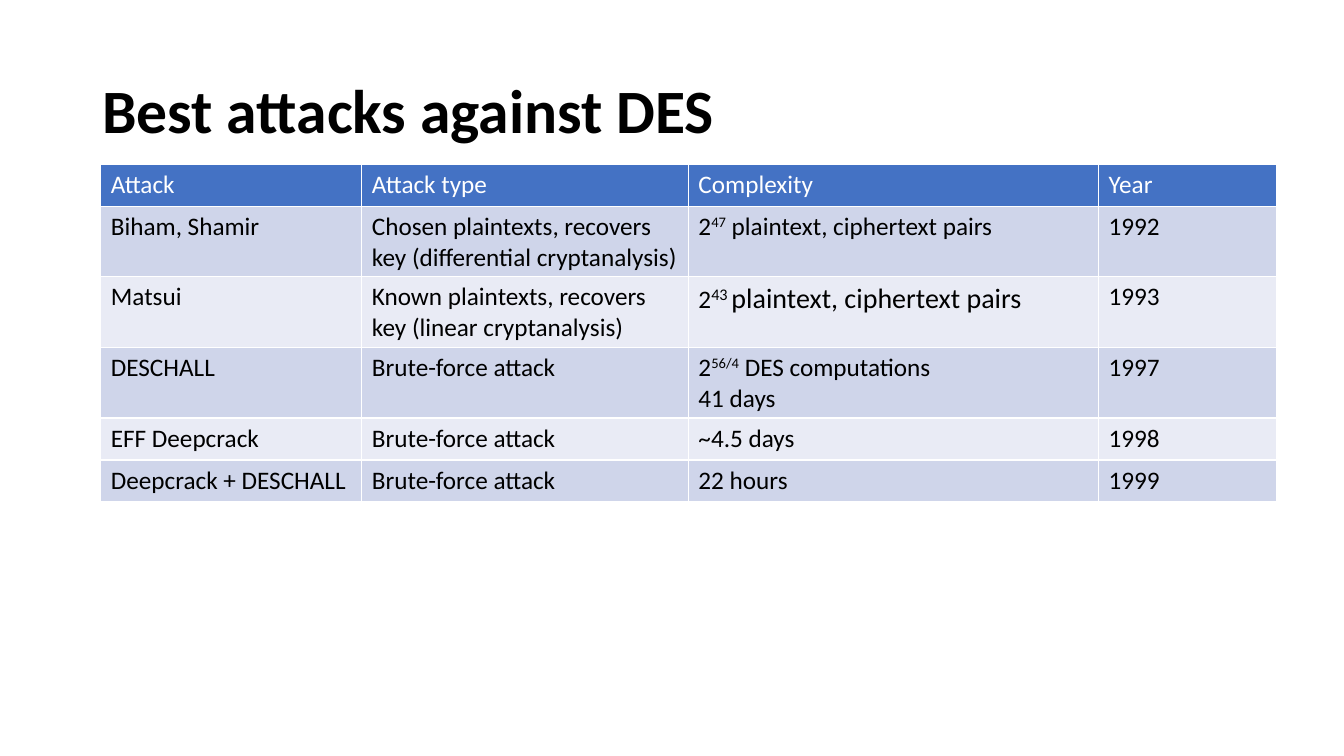
from dataclasses import dataclass

from pptx import Presentation
from pptx import util as u
from pptx.dml.color import RGBColor
from pptx.enum import text


@dataclass(frozen=True)
class Theme:
    font: str = "Calibri"
    ink: str = "000000"
    header_ink: str = "FFFFFF"
    header_fill: str = "4472C4"
    bands: tuple = ("CFD5EA", "E9EBF5")
    title_size: int = 44
    body_size: int = 18
    large_size: int = 20
    superscript: str = "30000"


class Deck:
    """Holds the theme and the current slide; lengths are grid columns and rows."""

    COLUMNS, ROWS = 40, 18

    def __init__(self, theme):
        self.theme = theme
        self.presentation = Presentation()
        self.presentation.slide_width = u.Inches(13.33)
        self.presentation.slide_height = u.Inches(7.5)
        self.slide = self.presentation.slides.add_slide(self.presentation.slide_layouts[6])

    def across(self, columns):
        return round(self.presentation.slide_width * columns / self.COLUMNS)

    def down(self, rows):
        return round(self.presentation.slide_height * rows / self.ROWS)

    def area(self, left, top, width, height):
        return self.across(left), self.down(top), self.across(width), self.down(height)

    def add_words(self, paragraph, words, size, ink, bold=False, raised=False):
        run = paragraph.add_run()
        run.text = words
        formats = {"name": self.theme.font, "size": u.Pt(size), "bold": bold}
        for name, value in formats.items():
            setattr(run.font, name, value)
        run.font.color.rgb = RGBColor.from_string(ink)
        if raised:
            run.font._element.set("baseline", self.theme.superscript)

    def title(self, words, *area):
        frame = self.slide.shapes.add_textbox(*self.area(*area)).text_frame
        formats = {"word_wrap": True, "vertical_anchor": text.MSO_ANCHOR.MIDDLE}
        for name, value in formats.items():
            setattr(frame, name, value)
        heading = frame.paragraphs[0]
        heading.line_spacing = 0.9
        self.add_words(heading, words, self.theme.title_size, self.theme.ink, bold=True)

    def fill_cell(self, cell, content, fill, ink):
        """Content is a string, or a list of lines made of (words, format) runs."""
        cell.fill.solid()
        cell.fill.fore_color.rgb = RGBColor.from_string(fill)
        lines = [[(content, {})]] if isinstance(content, str) else content
        for index, line in enumerate(lines):
            frame = cell.text_frame
            paragraph = frame.add_paragraph() if index else frame.paragraphs[0]
            for words, formats in line:
                self.add_words(paragraph, words,
                               **{"size": self.theme.body_size, "ink": ink, **formats})

    def table(self, rows, widths, left, top):
        area = self.area(left, top, sum(widths), len(rows))
        table = self.slide.shapes.add_table(len(rows), len(widths), *area).table
        for column, width in zip(table.columns, widths):
            column.width = self.across(width)
        for index, row in enumerate(rows):
            if index == 0:
                fill, ink = self.theme.header_fill, self.theme.header_ink
            else:
                fill, ink = self.theme.bands[(index - 1) % 2], self.theme.ink
            for cell, content in zip(table.rows[index].cells, row):
                self.fill_cell(cell, content, fill, ink)


def main():
    theme = Theme()
    deck = Deck(theme)
    raised = {"raised": True}
    large = {"size": theme.large_size}

    # Heading
    deck.title("Best attacks against DES", 2.75, 0.96, 34.5, 3.48)

    # Attacks in order of year
    differential = [[("2", {}), ("47", raised), (" plaintext, ciphertext pairs", {})]]
    linear = [[("2", {}), ("43 ", {**large, **raised}), ("plaintext, ciphertext pairs", large)]]
    distributed = [[("2", {}), ("56/4", raised), (" DES computations", {})], [("41 days", {})]]
    attacks = [
        ("Attack", "Attack type", "Complexity", "Year"),
        ("Biham, Shamir", "Chosen plaintexts, recovers key (differential cryptanalysis)",
         differential, "1992"),
        ("Matsui", "Known plaintexts, recovers key (linear cryptanalysis)", linear, "1993"),
        ("DESCHALL", "Brute-force attack", distributed, "1997"),
        ("EFF Deepcrack", "Brute-force attack", "~4.5 days", "1998"),
        ("Deepcrack + DESCHALL", "Brute-force attack", "22 hours", "1999"),
    ]
    deck.table(attacks, (7.77, 9.72, 12.21, 5.3), left=3, top=3.91)

    deck.presentation.save("out.pptx")


if __name__ == "__main__":
    main()
